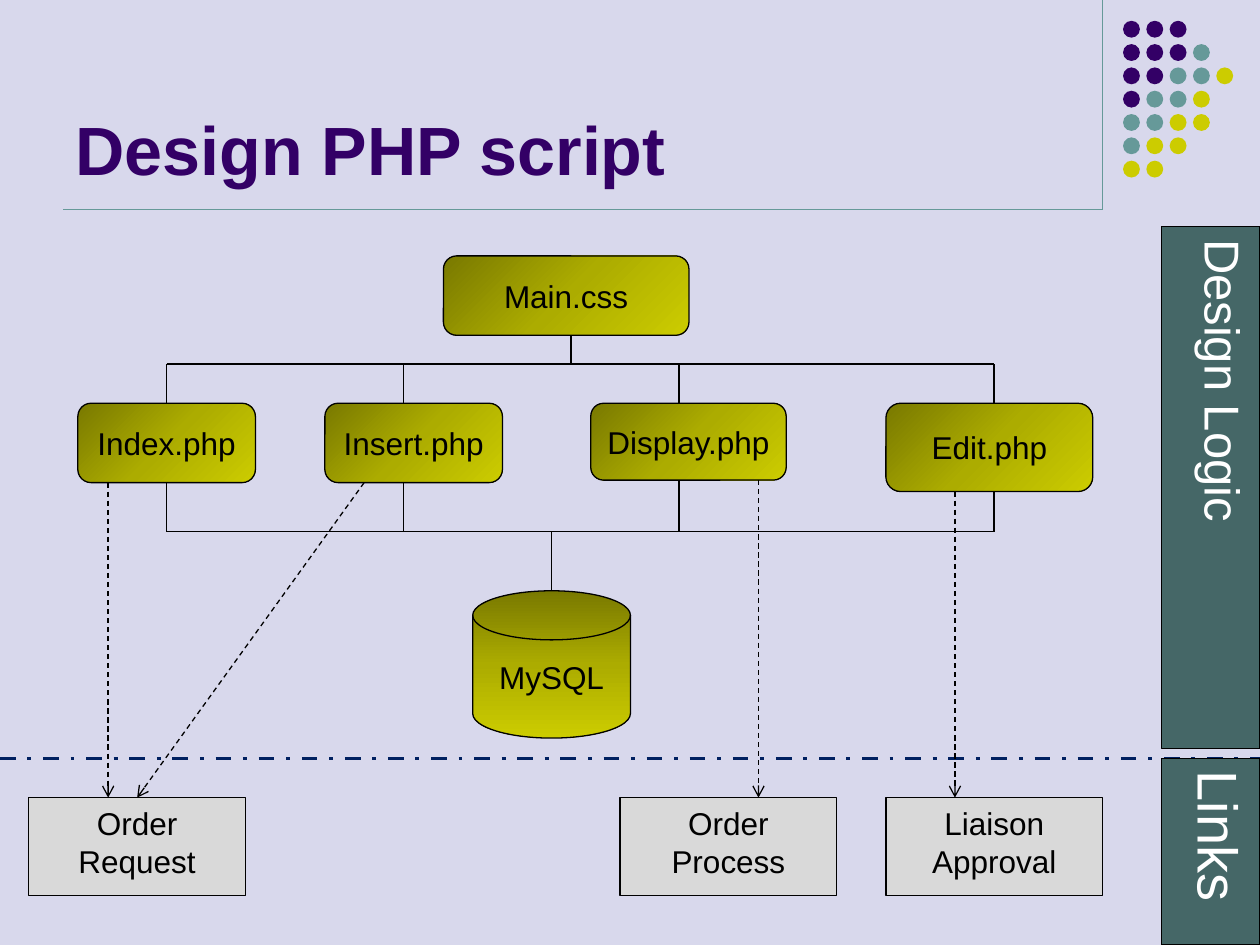
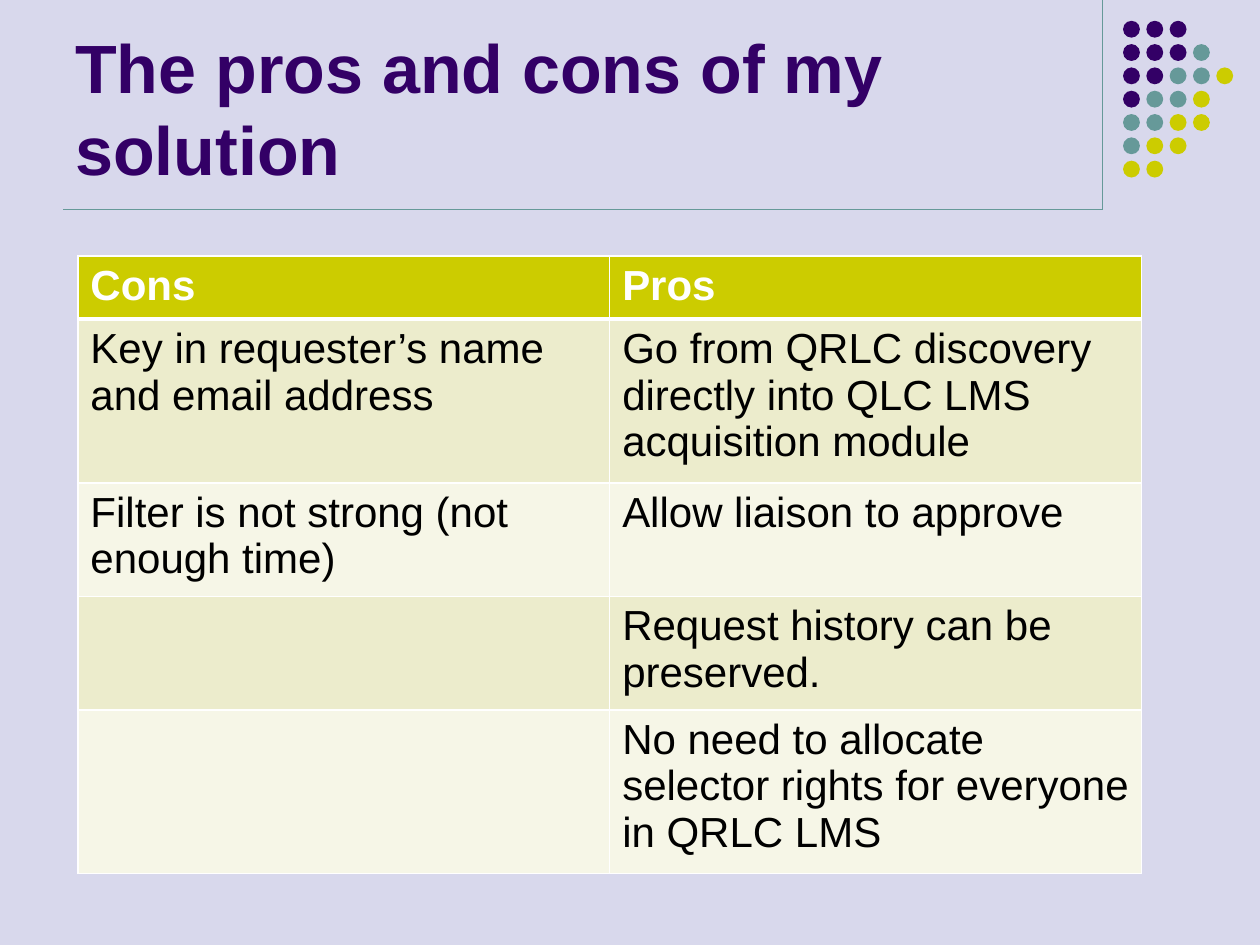
from copy import deepcopy
from dataclasses import dataclass

from lxml.etree import SubElement
from pptx import Presentation
from pptx.dml.color import RGBColor
from pptx.enum.dml import MSO_LINE
from pptx.enum.shapes import MSO_CONNECTOR, MSO_SHAPE
from pptx.enum.text import MSO_ANCHOR, PP_ALIGN
from pptx.oxml.ns import qn
from pptx.util import Cm, Pt


@dataclass(frozen=True)
class Theme:
    font: str = "Arial"
    back: str = "D8D8EC"
    title: str = "330066"
    teal: str = "669999"
    lime: str = "CCCC00"
    band: str = "456767"
    gray: str = "D9D9D9"
    navy: str = "002060"
    ink: str = "000000"
    white: str = "FFFFFF"
    fade: tuple = ((0, "797900"), (0.5, "ACAC00"), (1, "CCCC00"))
    rows: tuple = ("ECECCC", "F6F6E7")
    head: int = 39
    body: int = 18
    cell: int = 24
    thin: float = 0.75


T = Theme()

TITLES = ("Design PHP script", "The pros and cons of my solution")

# Corner dots: P purple, T teal, L lime
DOTS = ("PPP", "PPPT", "PPTTL", "PTTL", "TTLL", "TLL", "LL")
HUES = {"P": T.title, "T": T.teal, "L": T.lime}

# Lengths in centimetres: left, top, width, height
MAIN = ("Main.css", (8.94, 5.16, 4.95, 1.6))
STORE = ("MySQL", (9.53, 11.91, 3.18, 2.97))
# Each page ends with the x of its stubs to the two bus lines
PAGES = (
    ("Index.php", (1.57, 8.13, 3.58, 1.6), 3.36),
    ("Insert.php", (6.55, 8.13, 3.58, 1.6), 8.13),
    ("Display.php", (11.91, 8.13, 3.94, 1.55), 13.69),
    ("Edit.php", (17.86, 8.13, 4.17, 1.78), 20.04),
)
BUSES = (7.34, 10.72)
MAIN_X = 11.51
LINKS = (("Order Request", 0.58), ("Order Process", 12.5),
         ("Liaison Approval", 17.86))
LINK_TOP, LINK_W, LINK_H = 16.08, 4.37, 1.98
# Page index, start x, end x
ARROWS = ((0, 2.18, 2.18), (2, 15.29, 15.29), (3, 19.25, 19.25))
SPLIT = 15.29
BANDS = (("Design Logic", 4.57, 10.52, 28), ("Links", SPLIT, 3.76, 32))

TABLE = (
    ("Cons", "Pros"),
    ("Key in requester’s name and email address",
     "Go from QRLC discovery directly into QLC LMS acquisition module"),
    ("Filter is not strong (not enough time)", "Allow liaison to approve"),
    ("", "Request history can be preserved."),
    ("", "No need to allocate selector rights for everyone in QRLC LMS"),
)
COL_W = 10.72
ROW_H = (1.19, 3.25, 2.13, 2.13, 3.1)


def rgb(code):
    return RGBColor.from_string(code)


def write(frame, text, size, color, bold=False, align=PP_ALIGN.LEFT):
    frame.text = text
    for para in frame.paragraphs:
        para.alignment = align
        for run in para.runs:
            font = run.font
            font.name, font.size, font.bold = T.font, Pt(size), bold
            font.color.rgb = rgb(color)


def shape(slide, kind, box, fill, line=T.ink):
    item = slide.shapes.add_shape(kind, *map(Cm, box))
    item.shadow.inherit = False
    item.fill.solid()
    item.fill.fore_color.rgb = rgb(fill)
    if line:
        item.line.color.rgb = rgb(line)
        item.line.width = Pt(T.thin)
    else:
        item.line.fill.background()
    return item


def label(item, text, size, color, anchor=MSO_ANCHOR.TOP, wrap=True):
    frame = item.text_frame
    frame.word_wrap = wrap
    frame.vertical_anchor = anchor
    write(frame, text, size, color, align=PP_ALIGN.CENTER)


def node(slide, text, box, kind=MSO_SHAPE.ROUNDED_RECTANGLE, turn=315):
    """Draw a lime gradient block with a centred name."""
    item = shape(slide, kind, box, T.lime)
    item.fill.gradient()
    item.fill.gradient_angle = turn
    stops = item._element.spPr.find(".//" + qn("a:gsLst"))
    stops.append(deepcopy(stops[0]))
    for stop, (place, color) in zip(item.fill.gradient_stops, T.fade):
        stop.position = place
        stop.color.rgb = rgb(color)
    label(item, text, T.body, T.ink, MSO_ANCHOR.MIDDLE, wrap=False)
    return item


def link(slide, start, end, color=T.ink, width=T.thin, dash=None, arrow=False):
    item = slide.shapes.add_connector(
        MSO_CONNECTOR.STRAIGHT, *map(Cm, (*start, *end)))
    item.line.color.rgb = rgb(color)
    item.line.width = Pt(width)
    if dash:
        item.line.dash_style = dash
    props = item._element.spPr
    if arrow:
        SubElement(props.find(qn("a:ln")), qn("a:tailEnd"), type="arrow")
    SubElement(props, qn("a:effectLst"))
    return item


def base(deck, title):
    """Add a slide with the shared ground, rules, dots and title."""
    slide = deck.slides.add_slide(deck.slide_layouts[6])
    slide.background.fill.solid()
    slide.background.fill.fore_color.rgb = rgb(T.back)
    corner = (22.23, 4.23)
    link(slide, (22.23, 0), corner, T.teal)
    link(slide, (1.27, 4.23), corner, T.teal)
    for row, marks in enumerate(DOTS):
        for col, mark in enumerate(marks):
            spot = (22.64 + 0.47 * col, 0.42 + 0.47 * row, 0.34, 0.34)
            shape(slide, MSO_SHAPE.OVAL, spot, HUES[mark], line=None)
    box = slide.shapes.add_textbox(Cm(1.27), Cm(0.33), Cm(20.96), Cm(3.61))
    box.text_frame.word_wrap = True
    box.text_frame.vertical_anchor = MSO_ANCHOR.BOTTOM
    write(box.text_frame, title, T.head, T.title, bold=True)
    return slide


def draw_pages(slide):
    """Draw the script pages between the two bus lines."""
    high, low = BUSES
    for name, box, x in PAGES:
        item = node(slide, name, box)
        left, top, width, height = box
        above = link(slide, (x, high), (x, top))
        below = link(slide, (x, low), (x, top + height))
        if abs(left + width / 2 - x) < 0.05:
            above.end_connect(item, 0)
            below.end_connect(item, 2)
    for y in BUSES:
        link(slide, (PAGES[0][2], y), (PAGES[-1][2], y))


def draw_links(slide):
    """Draw the link boxes and the dashed arrows that reach them."""
    boxes = []
    for text, left in LINKS:
        item = shape(slide, MSO_SHAPE.RECTANGLE,
                     (left, LINK_TOP, LINK_W, LINK_H), T.gray)
        label(item, text, T.body, T.ink)
        boxes.append(item)

    def arrow(page, x, goal):
        box = PAGES[page][1]
        return link(slide, (x, box[1] + box[3]), (goal, LINK_TOP),
                    dash=MSO_LINE.DASH, arrow=True)

    for spec in ARROWS:
        arrow(*spec)
    slant = arrow(1, 7.34, LINKS[0][1] + LINK_W / 2)
    slant.end_connect(boxes[0], 0)


def draw_logic(slide):
    node(slide, *MAIN)
    node(slide, *STORE, MSO_SHAPE.FLOWCHART_MAGNETIC_DISK, 270)
    draw_pages(slide)
    link(slide, (MAIN_X, MAIN[1][1] + MAIN[1][3]), (MAIN_X, BUSES[0]))
    left, top, width, _ = STORE[1]
    mid = left + width / 2
    link(slide, (mid, BUSES[1]), (mid, top))
    link(slide, (0, SPLIT), (25.4, SPLIT), T.navy, 2.25, MSO_LINE.DASH_DOT)
    draw_links(slide)
    for text, top, height, size in BANDS:
        item = shape(slide, MSO_SHAPE.RECTANGLE,
                     (23.42, top, 1.98, height), T.band)
        label(item, text, size, T.white)
        item.text_frame._txBody.bodyPr.set("vert", "eaVert")


def edge(cell, side, width):
    line = SubElement(cell._tc.get_or_add_tcPr(), qn("a:ln" + side),
                      w=str(Pt(width)))
    fill = SubElement(line, qn("a:solidFill"))
    SubElement(fill, qn("a:srgbClr"), val=T.white)


def draw_table(slide):
    grid = slide.shapes.add_table(
        len(TABLE), 2, Cm(1.57), Cm(5.16), Cm(2 * COL_W), Cm(sum(ROW_H))).table
    for col in grid.columns:
        col.width = Cm(COL_W)
    for r, texts in enumerate(TABLE):
        grid.rows[r].height = Cm(ROW_H[r])
        first = r == 0
        for c, text in enumerate(texts):
            cell = grid.cell(r, c)
            for side in "LRTB":
                thick = (side, r) in (("B", 0), ("T", 1))
                edge(cell, side, 3 if thick else 1)
            cell.fill.solid()
            cell.fill.fore_color.rgb = rgb(
                T.lime if first else T.rows[(r - 1) % 2])
            write(cell.text_frame, text, T.cell,
                  T.white if first else T.ink, bold=first)


def main():
    deck = Presentation()
    deck.slide_width, deck.slide_height = Cm(25.4), Cm(19.05)
    for title, draw in zip(TITLES, (draw_logic, draw_table)):
        draw(base(deck, title))
    deck.save("out.pptx")


if __name__ == "__main__":
    main()
